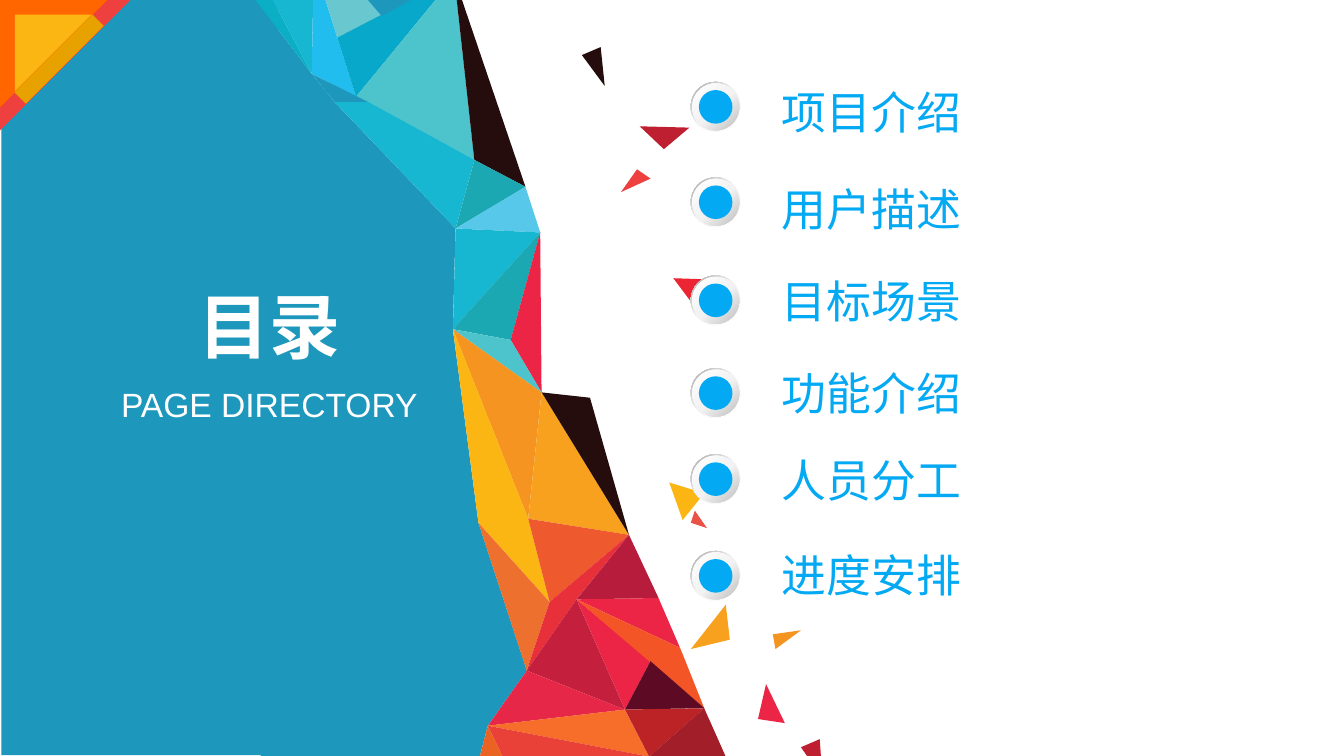
from copy import deepcopy

from pptx import Presentation
from pptx.dml.color import RGBColor
from pptx.enum.shapes import MSO_SHAPE
from pptx.enum.text import MSO_ANCHOR, MSO_AUTO_SIZE, PP_ALIGN
from pptx.oxml.ns import qn
from pptx.util import Inches, Pt

WHITE = RGBColor.from_string("FFFFFF")
PALE_GREY = RGBColor.from_string("F2F2F2")
MID_GREY = RGBColor.from_string("BFBFBF")
DARK_GREY = RGBColor.from_string("A6A6A6")
ACCENT = RGBColor.from_string("03A9F3")
PANEL = RGBColor.from_string("1D97BC")
SKY = RGBColor.from_string("21BDEE")
ICE = RGBColor.from_string("57C8EA")
CYAN = RGBColor.from_string("17B7D1")
OCEAN = RGBColor.from_string("08A8CA")
LAGOON = RGBColor.from_string("0AAEC5")
TEAL = RGBColor.from_string("1BA8B2")
AQUA = RGBColor.from_string("4DC4CC")
MIST = RGBColor.from_string("69C7CF")
YELLOW = RGBColor.from_string("FBB614")
MUSTARD = RGBColor.from_string("E7A200")
AMBER = RGBColor.from_string("F8A11E")
APRICOT = RGBColor.from_string("F59421")
ORANGE = RGBColor.from_string("FF6600")
TANGERINE = RGBColor.from_string("F66E29")
PUMPKIN = RGBColor.from_string("ED702E")
RUST = RGBColor.from_string("EB6323")
FLAME = RGBColor.from_string("F45526")
EMBER = RGBColor.from_string("EE592E")
SALMON = RGBColor.from_string("EA5248")
CORAL = RGBColor.from_string("E94138")
TOMATO = RGBColor.from_string("EE403F")
SCARLET = RGBColor.from_string("E73039")
RED = RGBColor.from_string("EB2534")
ROSE = RGBColor.from_string("EC2546")
RASPBERRY = RGBColor.from_string("E72748")
CRIMSON = RGBColor.from_string("C41F3D")
CHERRY = RGBColor.from_string("B71C3C")
RUBY = RGBColor.from_string("BE1F31")
BRICK = RGBColor.from_string("BC2326")
MAROON = RGBColor.from_string("A21F29")
WINE = RGBColor.from_string("5D0B24")
BLACK = RGBColor.from_string("260D0D")

presentation = Presentation()
presentation.slide_width = Inches(10)
presentation.slide_height = presentation.slide_width * 9 // 16
# The layout grid has 1000 columns across the slide and square cells.
CELL = presentation.slide_width // 1000

slide = presentation.slides.add_slide(presentation.slide_layouts[5])
shapes = slide.shapes


def paint(shape, color):
    """Give a shape a plain fill without line or shadow."""
    shape.shadow.inherit = False
    shape.line.fill.background()
    shape.fill.solid()
    shape.fill.fore_color.rgb = color
    return shape


def set_text(shape, box, text, color, frame_format, font_format, alignment):
    """Place a text shape on the grid, then fill and format it."""
    for name, value in zip(("left", "top", "width", "height"), box):
        setattr(shape, name, CELL * value)
    frame = shape.text_frame
    frame.text = text
    for name, value in frame_format.items():
        setattr(frame, name, value)
    paragraph = frame.paragraphs[0]
    paragraph.alignment = alignment
    for name, value in font_format.items():
        setattr(paragraph.runs[0].font, name, value)
    paragraph.runs[0].font.color.rgb = color


panel_box = [CELL * value for value in (1, -1, 206, 563)]
paint(shapes.add_shape(MSO_SHAPE.RECTANGLE, *panel_box), PANEL)

# Corners shared by neighbouring facets, lettered from top to bottom
mesh = {
    "A": (188, -3), "B": (203, 0), "C": (233, 0), "D": (232, 55), "E": (241, -4),
    "F": (265, 72), "G": (251, 28), "H": (338, -17), "I": (265, -10), "J": (284, 12),
    "K": (313, -4), "L": (274, 76), "M": (353, 119), "N": (249, 76), "O": (391, 139),
    "P": (339, 170), "Q": (402, 173), "R": (337, 245), "S": (380, 253), "T": (403, 292),
    "U": (393, 386), "V": (356, 389), "W": (409, 448), "X": (468, 398), "Y": (439, 296),
    "Z": (392, 499), "a": (429, 446), "b": (490, 445), "c": (465, 528), "d": (484, 492),
    "e": (506, 482), "f": (524, 527), "g": (363, 540), "h": (483, 563), "i": (374, 563),
    "j": (357, 563), "k": (540, 563), "l": (194, 563),
}
facets = [
    (PANEL, "ADNPRVZgjl"), (LAGOON, "ABD"), (CYAN, "BCD"), (SKY, "DCEGF"),
    (MIST, "EIJG"), (OCEAN, "GFH"), (MIST, "EIJG"[:4]), (PANEL, "IJK"),
    (AQUA, "HMF"), (BLACK, "HOM"), (PANEL, "DLN"), (CYAN, "LMPN"),
    (TEAL, "MOP"), (ICE, "POQ"), (CYAN, "PQR"), (TEAL, "QSR"),
    (ROSE, "QST"), (AQUA, "RST"), (APRICOT, "RTU"), (YELLOW, "RVWU"),
    (AMBER, "TUX"), (BLACK, "TYX"), (EMBER, "UWX"), (PUMPKIN, "VWZ"),
    (SCARLET, "WXaZ"), (CHERRY, "abX"), (ROSE, "acd"), (ROSE, "abe"),
    (CRIMSON, "acZ"), (FLAME, "afe"), (WINE, "cfd"), (RASPBERRY, "Zgc"),
    (TANGERINE, "gch"), (CORAL, "gih"), (RUST, "gji"), (BRICK, "cfh"),
    (MAROON, "fkh"),
]
facets = list(dict.fromkeys(facets))
shards = [
    (TOMATO, [(474, 126), (462, 143), (484, 133)]),
    (RED, [(501, 207), (530, 208), (525, 239)]),
    (RUBY, [(476, 94), (513, 95), (494, 111)]),
    (YELLOW, [(498, 359), (524, 367), (508, 387)]),
    (AMBER, [(540, 450), (514, 483), (543, 476)]),
    (ROSE, [(570, 509), (564, 535), (584, 538)]),
    (APRICOT, [(575, 472), (596, 469), (577, 483)]),
    (SALMON, [(517, 380), (526, 393), (514, 389)]),
    (BLACK, [(447, 35), (433, 41), (450, 64)]),
    (RUBY, [(610, 550), (596, 556), (612, 579)]),
]
outlines = [(color, [mesh[letter] for letter in letters]) for color, letters in facets]
for color, corners in outlines + shards:
    builder = shapes.build_freeform(*corners[0], scale=CELL)
    builder.add_line_segments(corners[1:], close=True)
    paint(builder.convert_to_shape(), color)

# Folded corner
for offset, size, color in [(0, 97, TOMATO), (0, 80, ORANGE), (11, 57, YELLOW)]:
    box = [CELL * value for value in (offset, offset, size, size)]
    paint(shapes.add_shape(MSO_SHAPE.RIGHT_TRIANGLE, *box), color).rotation = 90
fold_box = [CELL * value for value in (38, 3, 12, 82)]
paint(shapes.add_shape(MSO_SHAPE.RECTANGLE, *fold_box), MUSTARD).rotation = 45

# Headings
heading_frame = {
    "word_wrap": False,
    "auto_size": MSO_AUTO_SIZE.SHAPE_TO_FIT_TEXT,
    "vertical_anchor": MSO_ANCHOR.TOP,
}
title = shapes.title
shapes._spTree.append(title._element)  # bring in front of the mosaic
set_text(title, (137, 205, 127, 74), "目录", WHITE, heading_frame,
         {"name": "Arial", "size": Pt(38), "bold": True}, PP_ALIGN.CENTER)
set_text(shapes.add_textbox(0, 0, 0, 0), (79, 281, 243, 40), "PAGE DIRECTORY", WHITE,
         heading_frame, {"name": "Arial", "size": Pt(18)}, PP_ALIGN.CENTER)

# Contents: text, row of the badge, row of the text
entries = [
    ("项目介绍", 61, 58),
    ("用户描述", 132, 130),
    ("目标场景", 205, 199),
    ("功能介绍", 274, 267),
    ("人员分工", 338, 332),
    ("进度安排", 410, 403),
]
entry_frame = {**heading_frame, "word_wrap": True}
for text, badge_top, text_top in entries:
    badge = shapes.add_group_shape().shapes
    rim, disc, dot = [
        paint(badge.add_shape(kind, CELL * (514 + inset), CELL * (badge_top + inset),
                              CELL * size, CELL * size), ACCENT)
        for kind, inset, size in [(MSO_SHAPE.DONUT, 0, 37), (MSO_SHAPE.OVAL, 1, 35),
                                  (MSO_SHAPE.OVAL, 6, 25)]
    ]
    rim.adjustments[0] = 0.05
    for shape, angle, last in [(rim, 135, DARK_GREY), (disc, 315, MID_GREY)]:
        shape.fill.gradient()
        shape.fill.gradient_angle = angle
        stop_list = shape._element.spPr.find(".//" + qn("a:gsLst"))
        stop_list.insert(1, deepcopy(stop_list[0]))
        stops = [(0, WHITE), (0.53, PALE_GREY), (1, last)]
        for stop, (position, color) in zip(shape.fill.gradient_stops, stops):
            stop.position = position
            stop.color.rgb = color
    set_text(shapes.add_textbox(0, 0, 0, 0), (572, text_top, 257, 50), text, ACCENT,
             entry_frame, {"name": "Arial", "size": Pt(24)}, PP_ALIGN.LEFT)

presentation.save("out.pptx")
